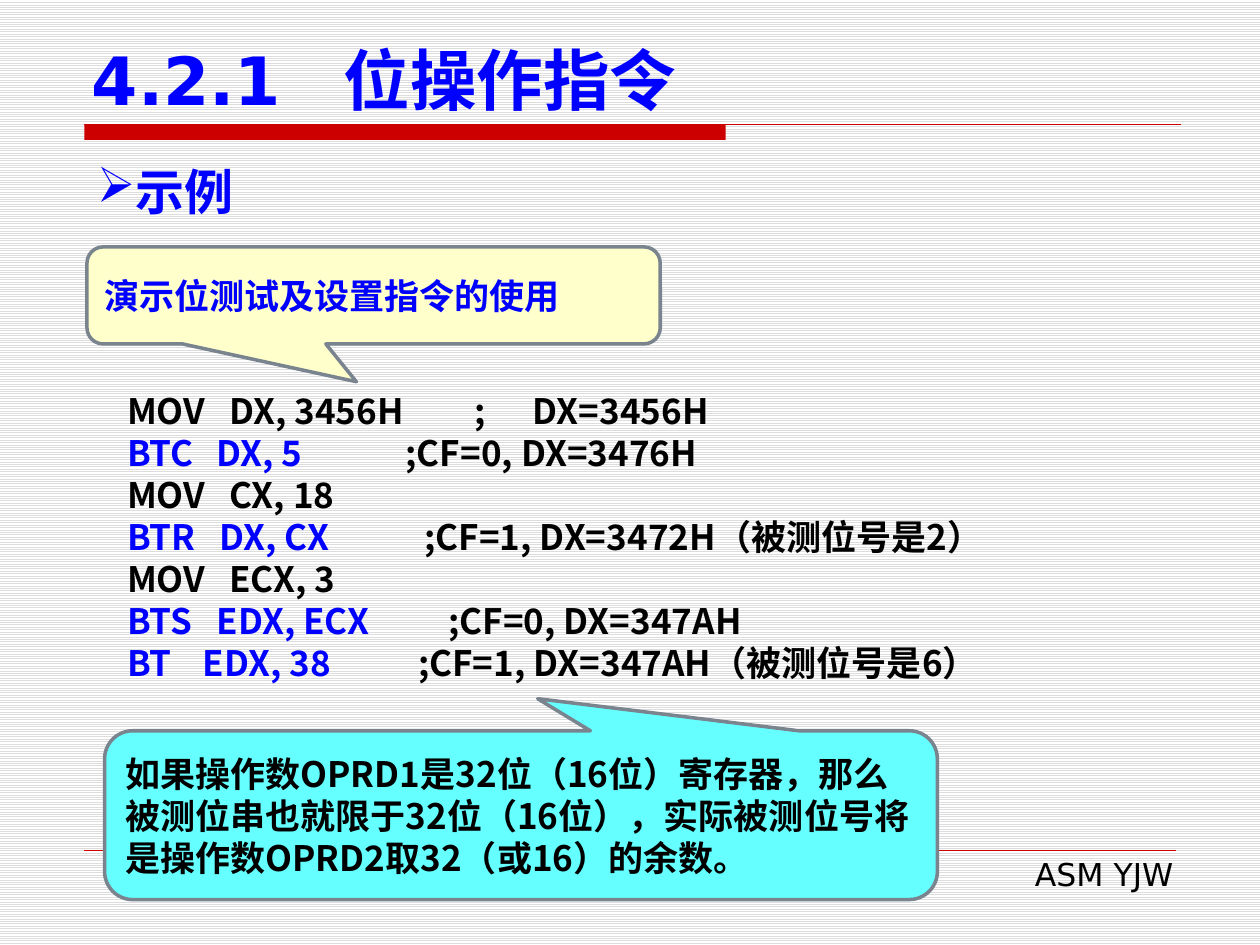
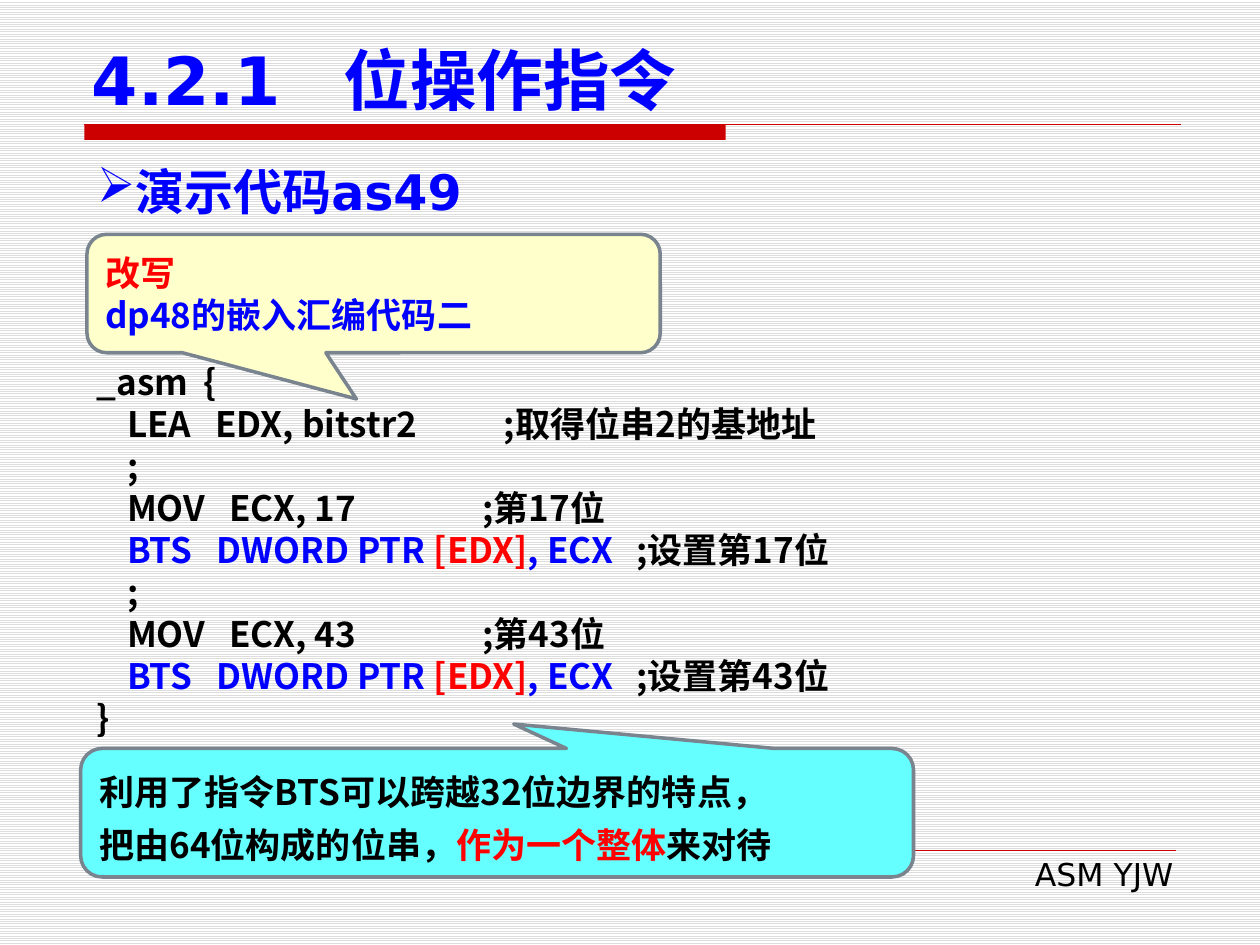
from dataclasses import dataclass

from lxml.etree import SubElement
from pptx import Presentation
from pptx.dml.color import RGBColor
from pptx.enum.dml import MSO_PATTERN
from pptx.enum.shapes import MSO_CONNECTOR as CONN, MSO_SHAPE as SHAPE
from pptx.enum.text import MSO_ANCHOR as ANCHOR, PP_ALIGN as ALIGN
from pptx.oxml.ns import qn
from pptx.util import Inches, Pt


@dataclass(frozen=True)
class Theme:
    """Colours, fonts and type sizes of the deck."""
    blue: str = "0000FF"
    red: str = "FF0000"
    black: str = "000000"
    band: str = "CC0000"
    outline: str = "79848F"
    yellow: str = "FFFFCC"
    cyan: str = "66FFFF"
    stripe: str = "DDDDDD"
    paper: str = "FFFFFF"
    heading_font: str = "DejaVu Sans"
    body_font: str = "Noto Sans CJK SC"
    title_size: int = 38
    topic_size: int = 28
    body_size: int = 20
    footer_size: int = 18
    body_pitch: int = 24
    wide_pitch: int = 30


T = Theme()


@dataclass(frozen=True)
class Style:
    """Typeface, size and weight of a text."""
    font: str
    size: int
    bold: bool = True


TITLE = Style(T.heading_font, T.title_size)
TOPIC = Style(T.heading_font, T.topic_size)
FOOTER = Style(T.heading_font, T.footer_size, False)
BODY = Style(T.body_font, T.body_size)


@dataclass(frozen=True)
class Span:
    """A piece of text in one colour."""
    text: str
    color: str = T.black


@dataclass(frozen=True)
class Line:
    """A paragraph with its tab stops in inches."""
    spans: tuple[Span, ...]
    tabs: tuple[float, ...] = ()
    pitch: int | None = None


@dataclass(frozen=True)
class Box:
    """A place on the slide in inches."""
    x: float
    y: float
    w: float
    h: float


@dataclass(frozen=True)
class Callout:
    """A speech bubble with a pointer."""
    box: Box
    fill: str
    pointer: tuple[float, float]
    lines: tuple[Line, ...]


@dataclass(frozen=True)
class Page:
    """The content of one slide."""
    topic: str
    code_box: Box
    code: tuple[Line, ...]
    callouts: tuple[Callout, ...]


def line(*spans: Span, tabs: tuple[float, ...] = (), pitch: int = T.body_pitch) -> Line:
    """Return a body paragraph."""
    return Line(spans, tabs, pitch)


def code(*spans: Span, operand: float = 1.05, comment: tuple[float, ...] = ()) -> Line:
    """Return an indented code line with operand and comment columns."""
    return line(Span("\t"), *spans, tabs=(0.24, operand, *comment))


def set_bit(bit: int) -> tuple[Line, Line]:
    """Return the two instructions that set one bit of the string."""
    return (
        code(Span(f"MOV\tECX, {bit}\t;第{bit}位"), comment=(3.06,)),
        code(Span("BTS\tDWORD PTR ", T.blue), Span("[EDX]", T.red), Span(", ECX", T.blue),
             Span(f"\t;设置第{bit}位"), operand=0.95, comment=(4.28,)),
    )


def intro(y: float, h: float, *lines: Line) -> Callout:
    """Return the yellow callout above the code."""
    return Callout(Box(0.69, y, 4.55, h), T.yellow, (-0.03, 0.89), lines)


def remark(x: float, y: float, h: float, *lines: Line) -> Callout:
    """Return the cyan callout below the code."""
    return Callout(Box(x, y, 6.61, h), T.cyan, (0.02, -0.69), lines)


PAGES = (
    Page(
        "示例",
        Box(0.67, 3.04, 9.06, 2.46),
        (
            code(Span("MOV\tDX, 3456H\t;\tDX=3456H"), comment=(3, 3.46)),
            code(Span("BTC\tDX, 5\t", T.blue), Span(";CF=0, DX=3476H"),
                 operand=0.95, comment=(2.45,)),
            code(Span("MOV\tCX, 18")),
            code(Span("BTR\tDX, CX\t", T.blue), Span(";CF=1, DX=3472H（被测位号是2）"),
                 operand=0.97, comment=(2.6,)),
            code(Span("MOV\tECX, 3")),
            code(Span("BTS\tEDX, ECX\t", T.blue), Span(";CF=0, DX=347AH"),
                 operand=0.95, comment=(2.79,)),
            code(Span("BT\tEDX, 38\t", T.blue), Span(";CF=1, DX=347AH（被测位号是6）"),
                 operand=0.84, comment=(2.55,)),
        ),
        (
            intro(1.96, 0.77, line(Span("演示位测试及设置指令的使用", T.blue))),
            remark(0.83, 5.8, 1.34, line(Span(
                "如果操作数OPRD1是32位（16位）寄存器，那么被测位串也就限于32位（16位），"
                "实际被测位号将是操作数OPRD2取32（或16）的余数。"))),
        ),
    ),
    Page(
        "演示代码as49",
        Box(0.67, 2.81, 9.06, 3.13),
        (
            line(Span("_asm\t{"), tabs=(0.85,)),
            code(Span("LEA\tEDX, bitstr2\t;取得位串2的基地址"), operand=0.94, comment=(3.23,)),
            code(Span(";")),
            *set_bit(17),
            code(Span(";")),
            *set_bit(43),
            line(Span("}")),
        ),
        (
            intro(1.86, 0.94, line(Span("改写", T.red)),
                  line(Span("dp48的嵌入汇编代码二", T.blue))),
            remark(0.64, 5.94, 1.02,
                   line(Span("利用了指令BTS可以跨越32位边界的特点，"), pitch=T.wide_pitch),
                   line(Span("把由64位构成的位串，"), Span("作为一个整体", T.red),
                        Span("来对待"), pitch=T.wide_pitch)),
        ),
    ),
)


def rgb(color: str) -> RGBColor:
    """Return a colour object for a hex code."""
    return RGBColor.from_string(color)


def place(box: Box) -> tuple[Inches, ...]:
    """Return left, top, width and height as lengths."""
    return tuple(Inches(v) for v in (box.x, box.y, box.w, box.h))


def write(tf, lines: tuple[Line, ...], style: Style,
          align: ALIGN = ALIGN.LEFT, anchor: ANCHOR = ANCHOR.TOP) -> None:
    """Fill a text frame with styled lines."""
    tf.word_wrap = True
    tf.vertical_anchor = anchor
    for i, item in enumerate(lines):
        p = tf.add_paragraph() if i else tf.paragraphs[0]
        p.alignment = align
        if item.pitch:
            p.line_spacing = Pt(item.pitch)
        if item.tabs:
            stops = SubElement(p._p.get_or_add_pPr(), qn("a:tabLst"))
            for pos in item.tabs:
                SubElement(stops, qn("a:tab"), pos=str(Inches(pos)), algn="l")
        for span in item.spans:
            r = p.add_run()
            r.text = span.text
            r.font.name = style.font
            r.font.size = Pt(style.size)
            r.font.bold = style.bold
            r.font.color.rgb = rgb(span.color)
            SubElement(r._r.get_or_add_rPr(), qn("a:ea"), typeface=T.body_font)


def add_text(slide, box: Box, lines: tuple[Line, ...], style: Style, **layout):
    """Add a text box and return its text frame."""
    tf = slide.shapes.add_textbox(*place(box)).text_frame
    write(tf, lines, style, **layout)
    return tf


def add_filled(slide, kind: SHAPE, box: Box, color: str):
    """Add a flat filled shape without outline."""
    sp = slide.shapes.add_shape(kind, *place(box))
    sp.shadow.inherit = False
    sp.fill.solid()
    sp.fill.fore_color.rgb = rgb(color)
    sp.line.fill.background()
    return sp


def add_rule(slide, y: float, right: float, width: float) -> None:
    """Add a horizontal red rule."""
    cn = slide.shapes.add_connector(CONN.STRAIGHT, Inches(0.67), Inches(y),
                                    Inches(right), Inches(y))
    cn.line.color.rgb = rgb(T.band)
    cn.line.width = Pt(width)
    SubElement(cn._element.spPr, qn("a:effectLst"))


def add_callout(slide, item: Callout) -> None:
    """Add a speech bubble with its text."""
    sp = add_filled(slide, SHAPE.ROUNDED_RECTANGULAR_CALLOUT, item.box, item.fill)
    sp.line.color.rgb = rgb(T.outline)
    sp.line.width = Pt(2)
    sp.adjustments[0], sp.adjustments[1] = item.pointer
    write(sp.text_frame, item.lines, BODY, anchor=ANCHOR.MIDDLE)


def add_frame(slide) -> None:
    """Add the background, title, red band and footer."""
    fill = slide.background.fill
    fill.patterned()
    fill.pattern = MSO_PATTERN.LIGHT_HORIZONTAL
    fill.fore_color.rgb = rgb(T.stripe)
    fill.back_color.rgb = rgb(T.paper)
    add_filled(slide, SHAPE.RECTANGLE, Box(0.67, 0.99, 5.09, 0.12), T.band)
    add_rule(slide, 0.99, 9.37, 0.75)
    add_rule(slide, 6.75, 9.33, 0.25)
    add_text(slide, Box(3.82, 6.74, 5.59, 0.4), (Line((Span("ASM YJW"),)),),
             FOOTER, align=ALIGN.RIGHT)
    add_text(slide, Box(0.63, 0.33, 8.75, 0.66),
             (Line((Span("4.2.1\t位操作指令", T.blue),), (2,)),), TITLE, anchor=ANCHOR.BOTTOM)


def add_topic(slide, text: str) -> None:
    """Add the bulleted topic line."""
    tf = add_text(slide, Box(0.67, 1.23, 8.66, 0.57), (Line((Span(text, T.blue),)),),
                  TOPIC, align=ALIGN.JUSTIFY)
    SubElement(tf.paragraphs[0]._p.get_or_add_pPr(), qn("a:buChar"), char="➢")


def build_page(prs, page: Page) -> None:
    """Add one slide."""
    slide = prs.slides.add_slide(prs.slide_layouts[6])
    add_frame(slide)
    add_topic(slide, page.topic)
    add_text(slide, page.code_box, page.code, BODY)
    for item in page.callouts:
        add_callout(slide, item)


def main() -> None:
    """Build and save the deck."""
    prs = Presentation()
    prs.slide_width, prs.slide_height = Inches(10), Inches(7.5)
    for page in PAGES:
        build_page(prs, page)
    prs.save("out.pptx")


if __name__ == "__main__":
    main()
